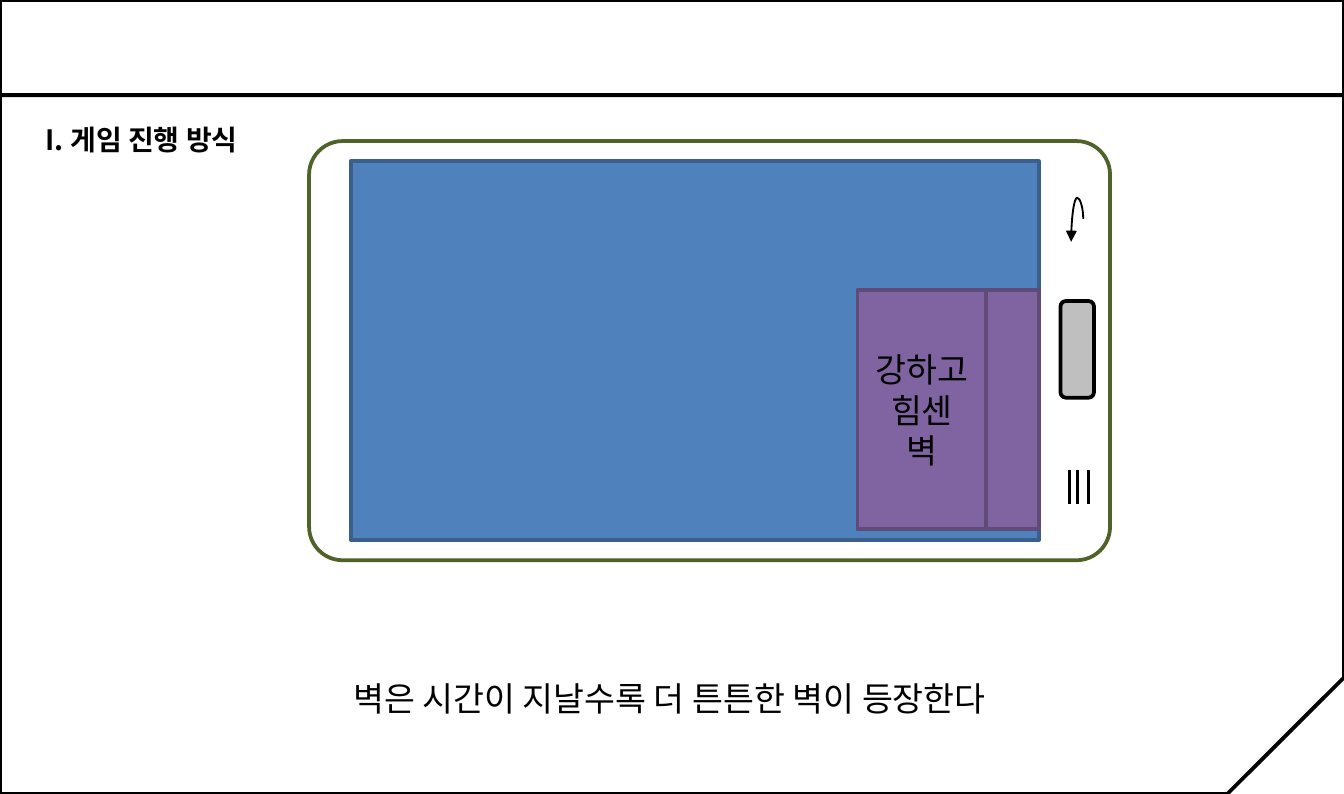
from pptx import Presentation
from pptx.dml.color import RGBColor
from pptx.enum import shapes, text
from pptx.oxml.ns import qn
from pptx.util import Inches, Pt
from lxml import etree

COLORS = {
    "black": "000000", "white": "FFFFFF", "phone": "4F6228", "button": "BFBFBF",
    "screen": "4F81BD", "screen_edge": "3A5F8C", "wall": "8064A2", "wall_edge": "5F4A78",
}
SHAPE = shapes.MSO_SHAPE
CONNECTOR = shapes.MSO_CONNECTOR


class Deck:
    font = "Noto Sans CJK KR"

    def __init__(self, width, height):
        self.prs = Presentation()
        self.prs.slide_width, self.prs.slide_height = Inches(width), Inches(height)
        self.s = self.prs.slides.add_slide(self.prs.slide_layouts[5])

    def color(self, name):
        return RGBColor.from_string(COLORS[name])

    def set_text(self, sp, content, size, bold=False, align=text.PP_ALIGN.LEFT,
                 anchor=text.MSO_ANCHOR.TOP, wrap=True):
        tf = sp.text_frame
        tf.text = content
        tf.word_wrap, tf.vertical_anchor = wrap, anchor
        for p in tf.paragraphs:
            p.alignment = align
            for r in p.runs:
                r.font.size, r.font.bold, r.font.name = Pt(size), bold, self.font
                r.font.color.rgb = self.color("black")
                etree.SubElement(r.font._element, qn("a:ea"), typeface=self.font)

    def title(self, content, box, size):
        sp = self.s.shapes.title
        sp.left, sp.top, sp.width, sp.height = map(Inches, box)
        self.set_text(sp, content, size, bold=True, wrap=False)

    def textbox(self, content, box, size):
        sp = self.s.shapes.add_textbox(*map(Inches, box))
        self.set_text(sp, content, size, wrap=False)

    def shape(self, kind, box, fill, edge, adj=None):
        sp = self.s.shapes.add_shape(kind, *map(Inches, box))
        sp.shadow.inherit = False
        sp.fill.solid()
        sp.fill.fore_color.rgb = self.color(fill)
        sp.line.color.rgb, sp.line.width = self.color(edge), Pt(2)
        if adj is not None:
            sp.adjustments[0] = adj
        return sp

    def line(self, start, end, width, kind=CONNECTOR.STRAIGHT):
        cn = self.s.shapes.add_connector(kind, *map(Inches, start + end))
        cn.line.color.rgb, cn.line.width = self.color("black"), Pt(width)
        etree.SubElement(cn._element.spPr, qn("a:effectLst"))
        return cn

    def curved_arrow(self, start, end, width, bend):
        cn = self.line(start, end, width, CONNECTOR.CURVE)
        sp_pr = cn._element.spPr
        sp_pr.find(qn("a:xfrm")).set("rot", str(90 * 60000))
        guides = sp_pr.find(qn("a:prstGeom")).find(qn("a:avLst"))
        etree.SubElement(guides, qn("a:gd"), name="adj1", fmla=f"val {round(bend * 100000)}")
        etree.SubElement(sp_pr.find(qn("a:ln")), qn("a:tailEnd"), type="triangle")


def main():
    deck = Deck(10, 5.91)

    # Page frame: body with a cut lower right corner, and header band
    header = 0.71
    body = deck.shape(SHAPE.SNIP_1_RECTANGLE, (0, header, 10, 5.2), "white", "black")
    body._element.spPr.find(qn("a:xfrm")).set("flipV", "1")
    deck.shape(SHAPE.RECTANGLE, (0, 0, 10, header), "white", "black")
    deck.line((0, header), (10, header), 2.25)

    # Phone body and its keys
    deck.shape(SHAPE.ROUNDED_RECTANGLE, (2.3, 1.05, 5.96, 3.12), "white", "phone", 0.08)
    deck.shape(SHAPE.ROUNDED_RECTANGLE, (7.89, 2.24, 0.25, 0.72), "button", "black")
    deck.curved_arrow((7.93, 1.67), (8.1, 1.76), 1, -0.93)
    for x in (7.96, 8.02, 8.1):
        deck.line((x, 3.75), (x, 3.5), 1.5)

    # Game screen with walls
    deck.shape(SHAPE.RECTANGLE, (2.61, 1.2, 5.12, 2.82), "screen", "screen_edge")
    walls = [deck.shape(SHAPE.RECTANGLE, (x, 2.16, w, 1.78), "wall", "wall_edge")
             for x, w in ((6.38, 0.96), (7.34, 0.39))]
    deck.set_text(walls[0], "강하고 힘센\n벽", 18, align=text.PP_ALIGN.CENTER,
                  anchor=text.MSO_ANCHOR.MIDDLE)

    # Heading and caption
    deck.title("I. 게임 진행 방식", (0.24, 0.86, 1.8, 0.35), 15)
    title = deck.s.shapes.title._element
    title.getparent().append(title)  # bring in front of the page frame
    deck.textbox("벽은 시간이 지날수록 더 튼튼한 벽이 등장한다", (2.53, 5, 5.53, 0.4), 18)

    deck.prs.save("out.pptx")


if __name__ == "__main__":
    main()
